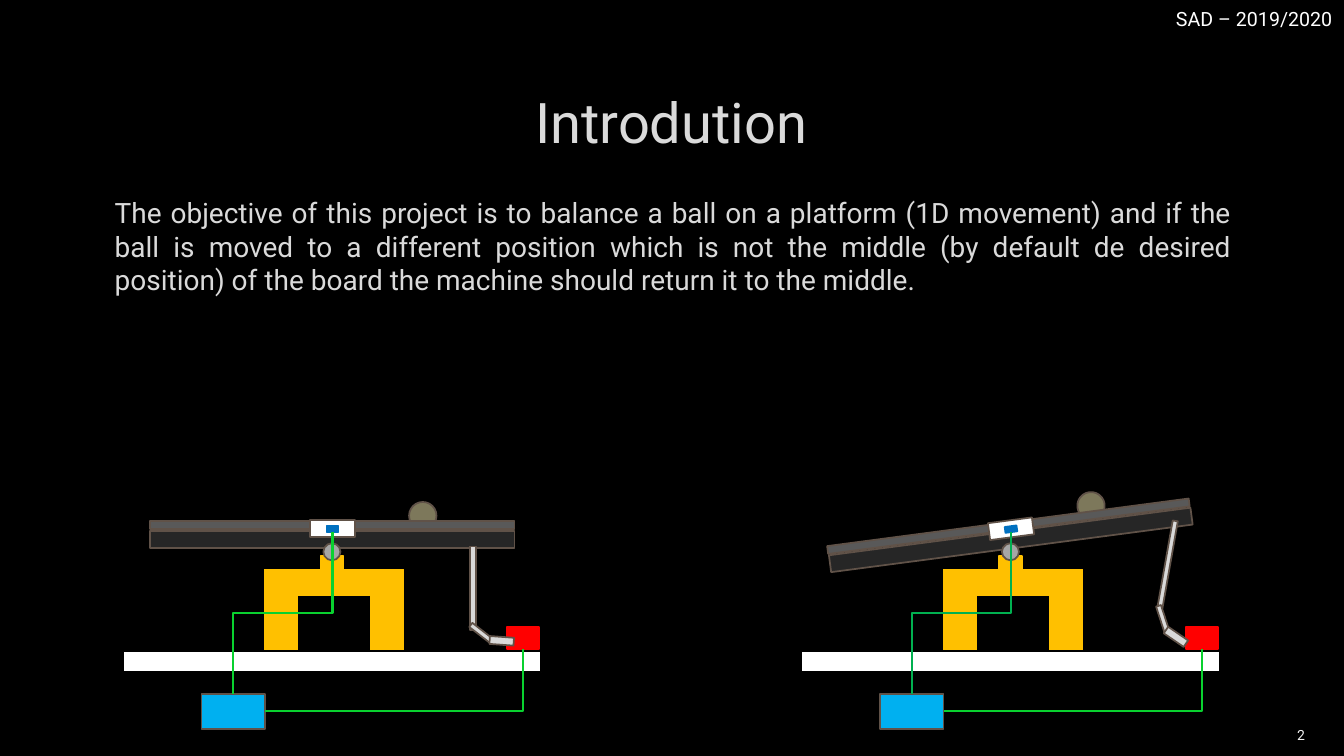
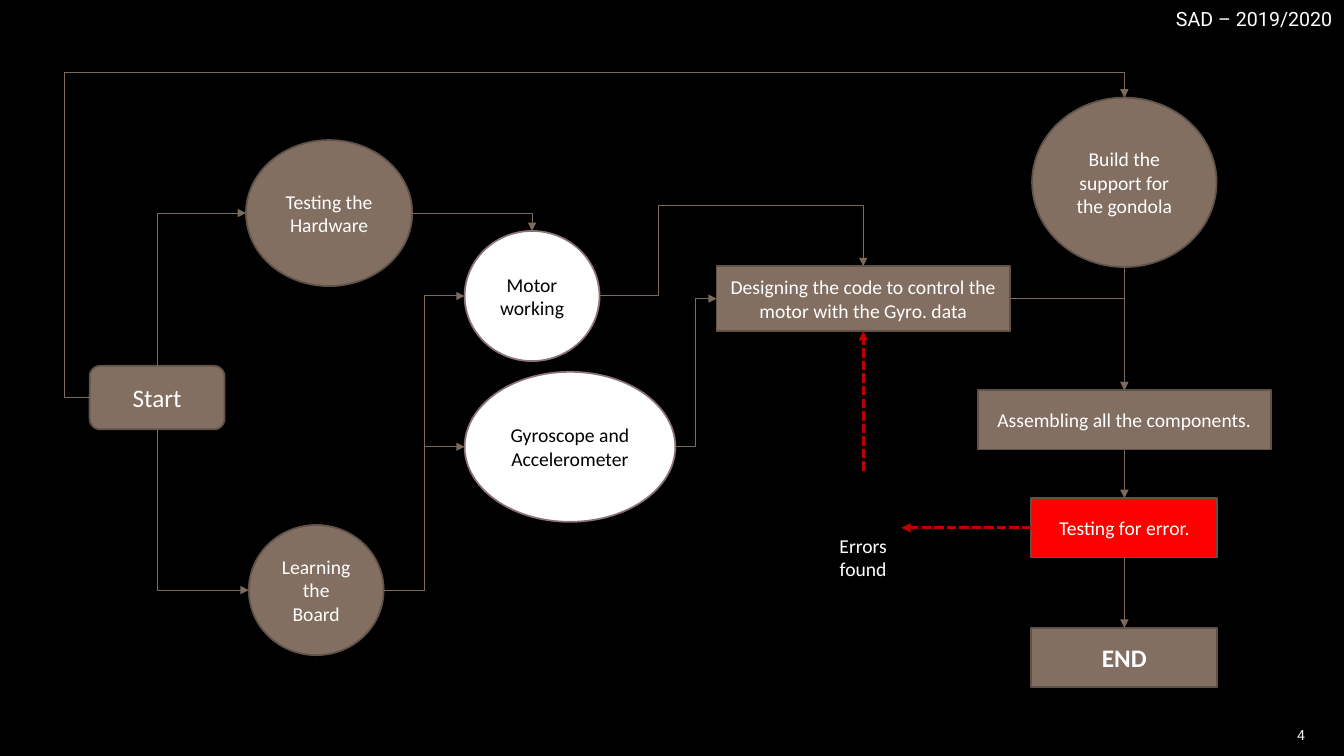
from lxml.etree import SubElement
from pptx import Presentation
from pptx.dml.color import RGBColor
from pptx.enum.dml import MSO_LINE
from pptx.enum.shapes import MSO_CONNECTOR, MSO_SHAPE
from pptx.enum.text import MSO_ANCHOR, PP_ALIGN
from pptx.oxml.ns import qn
from pptx.util import Cm, Pt

COLORS = {
    "black": "000000", "white": "FFFFFF", "title": "DADADA", "number": "F2F2F2",
    "brown": "826F61", "edge": "605248", "rose": "897376", "arrow": "7C6A5D",
    "red": "FF0000", "dark red": "C00000", "amber": "FFC000", "board": "262626",
    "rail": "595959", "pivot": "A6A6A6", "ball": "7D785B", "rod": "D9D9D9",
    "chip": "0070C0", "controller": "00B0F0", "wire": "09D12F", "dark wire": "00B050",
}
RECT, OVAL = MSO_SHAPE.RECTANGLE, MSO_SHAPE.OVAL
TOP, LEFT, BOTTOM, RIGHT = range(4)

HEADER = "SAD – 2019/2020"
TITLE = "Introdution"
OBJECTIVE = (
    "The objective of this project is to balance a ball on a platform (1D movement) "
    "and if the ball is moved to a different position which is not the middle (by "
    "default de desired position) of the board the machine should return it to the middle."
)

# Rig parts from back to front: name, shape, fill, line, box in cm (None: set by the pose)
RIG_PARTS = [
    ("board", RECT, "board", "edge", None),
    ("post", RECT, "amber", "amber", (8.08, 14.02, 0.58, 0.91)),
    ("beam", RECT, "amber", "amber", (6.68, 14.35, 3.48, 0.64)),
    ("left leg", RECT, "amber", "amber", (6.68, 14.35, 0.81, 2.06)),
    ("right leg", RECT, "amber", "amber", (9.35, 14.35, 0.81, 2.06)),
    ("table", RECT, "white", "black", (3.1, 16.41, 10.54, 0.53)),
    ("pivot", OVAL, "pivot", "edge", (8.15, 13.69, 0.43, 0.43)),
    ("ball", OVAL, "ball", "edge", None),
    ("rail", RECT, "rail", "edge", None),
    ("motor", RECT, "red", "red", (12.78, 15.8, 0.81, 0.56)),
    ("arm", RECT, "rod", "edge", None),
    ("joint", RECT, "rod", "edge", None),
    ("crank", RECT, "rod", "edge", None),
    ("sensor", RECT, "white", "edge", (7.82, 13.11, 1.12, 0.43)),
    ("chip", RECT, "chip", "chip", (8.23, 13.26, 0.3, 0.15)),
    ("controller", RECT, "controller", "edge", (5.08, 17.48, 1.6, 0.89)),
]
TILTED = ("board", "ball", "rail", "sensor", "chip")
LEVEL_RIG = {
    "offset": 0, "tilt": 0, "sensor wire": "wire",
    "boxes": {"board": (3.78, 13.39, 9.19, 0.43), "ball": (10.31, 12.65, 0.69, 0.69),
              "rail": (3.78, 13.13, 9.19, 0.2), "arm": (11.84, 13.77, 0.15, 2.11),
              "joint": (11.79, 15.9, 0.71, 0.13), "crank": (12.34, 16.05, 0.61, 0.2)},
    "angles": {"joint": 37.8, "crank": 4.1},
}
TILTED_RIG = {
    "offset": 17.1, "tilt": 352.5, "sensor wire": "dark wire",
    "boxes": {"board": (3.78, 13.39, 9.19, 0.43), "ball": (10.05, 12.4, 0.69, 0.69),
              "rail": (3.72, 13.16, 9.19, 0.2), "arm": (12.26, 13.11, 0.13, 2.24),
              "joint": (11.85, 15.54, 0.71, 0.13), "crank": (12.23, 15.95, 0.61, 0.2)},
    "angles": {"arm": 10, "joint": 72, "crank": 34.4},
}

# Flowchart steps: name, text, shape, fill, line, box in cm
STEPS = [
    ("support", "Build the support for the gondola", OVAL, "brown", "edge",
     (26.01, 2.46, 4.65, 4.27)),
    ("start", "Start", MSO_SHAPE.ROUNDED_RECTANGLE, "brown", "edge", (2.26, 9.22, 3.4, 1.6)),
    ("learning", "Learning the Board", OVAL, "brown", "edge", (6.27, 13.23, 3.4, 3.28)),
    ("gyroscope", "Gyroscope and Accelerometer", OVAL, "white", "rose",
     (11.71, 9.37, 5.31, 3.78)),
    ("motor", "Motor working", OVAL, "white", "rose", (11.71, 5.82, 3.4, 3.28)),
    ("code", "Designing the code to control the motor with the Gyro. data", RECT,
     "brown", "edge", (18.06, 6.71, 7.39, 1.63)),
    ("hardware", "Testing the Hardware", OVAL, "brown", "edge", (6.2, 3.53, 4.19, 3.68)),
    ("assembling", "Assembling all the components.", RECT, "brown", "edge",
     (24.64, 9.83, 7.39, 1.5)),
    ("testing", "Testing for error.", RECT, "red", "edge", (25.99, 12.55, 4.69, 1.5)),
    ("errors", "Errors found", MSO_SHAPE.ISOSCELES_TRIANGLE, "black", "black",
     (19.87, 11.86, 3.77, 2.9)),
    ("end", "END", RECT, "brown", "edge", (25.99, 15.82, 4.69, 1.5)),
]
LARGE_STEPS = ("start", "end")
# Bent arrows: from, side, to, side, outer corner in cm when the arrow goes around
BENT_ARROWS = [
    ("start", BOTTOM, "learning", LEFT, None),
    ("learning", RIGHT, "motor", LEFT, None),
    ("learning", RIGHT, "gyroscope", LEFT, None),
    ("gyroscope", RIGHT, "code", LEFT, None),
    ("motor", RIGHT, "code", TOP, (16.59, 5.18)),
    ("start", TOP, "hardware", LEFT, None),
    ("hardware", RIGHT, "motor", TOP, None),
    ("start", LEFT, "support", TOP, (1.63, 1.83)),
    ("code", RIGHT, "assembling", TOP, None),
]
DOWN_ARROWS = [("support", "assembling"), ("assembling", "testing"), ("testing", "end")]


def rgb(name):
    return RGBColor.from_string(COLORS[name])


def cm(box):
    return [Cm(v) for v in box]


def set_font(p, size, color, name="Roboto", bold=False):
    p.font.size, p.font.name, p.font.bold = Pt(size), name, bold
    p.font.color.rgb = rgb(color)


def add_text(slide, box, text, size, color, align, anchor=MSO_ANCHOR.TOP):
    tf = slide.shapes.add_textbox(*cm(box)).text_frame
    tf.word_wrap, tf.vertical_anchor = True, anchor
    p = tf.paragraphs[0]
    p.text, p.alignment = text, align
    set_font(p, size, color)


def add_box(slide, kind, box, fill, line, angle=0):
    sp = slide.shapes.add_shape(kind, *cm(box))
    sp.shadow.inherit = False
    sp.fill.solid()
    sp.fill.fore_color.rgb = rgb(fill)
    sp.line.color.rgb = rgb(line)
    sp.line.width = Pt(1.25)
    sp.rotation = angle
    return sp


def style_line(cxn, color, width, arrow=True, dash=None):
    cxn.line.color.rgb = rgb(color)
    cxn.line.width = Pt(width)
    if dash:
        cxn.line.dash_style = dash
    spPr = cxn.element.spPr
    if arrow:
        SubElement(spPr.find(qn("a:ln")), qn("a:tailEnd"), type="triangle")
    SubElement(spPr, qn("a:effectLst"))


def join(slide, a, side_a, b, side_b, kind=MSO_CONNECTOR.STRAIGHT):
    """Connect the middles of two sides; an oval has two sites per side."""
    cxn = slide.shapes.add_connector(kind, 0, 0, 0, 0)
    cxn.begin_connect(a, side_a)
    cxn.end_connect(b, side_b)
    for sp, side, tag in ((a, side_a, "a:stCxn"), (b, side_b, "a:endCxn")):
        if sp.auto_shape_type == OVAL:
            next(cxn.element.iter(qn(tag))).set("idx", str(2 * side))
    return cxn


def join_bent(slide, a, side_a, b, side_b, corner=None):
    """Connect two sides at right angles, around the given outer corner if any."""
    cxn = join(slide, a, side_a, b, side_b, MSO_CONNECTOR.ELBOW)
    x1, y1, x2, y2 = cxn.begin_x, cxn.begin_y, cxn.end_x, cxn.end_y
    dx, dy = x2 - x1, y2 - y1
    upright = side_a in (TOP, BOTTOM)
    xfrm = cxn.element.spPr.find(qn("a:xfrm"))
    if upright:  # a quarter turn swaps the axes
        width, height = abs(dy), abs(dx)
        flip_h, flip_v = dy < 0, dx > 0
        xfrm.set("rot", "5400000")
    else:
        width, height = abs(dx), abs(dy)
        flip_h, flip_v = dx < 0, dy < 0
    cxn.left, cxn.top = (x1 + x2 - width) // 2, (y1 + y2 - height) // 2
    cxn.width, cxn.height = width, height
    xfrm.set("flipH", str(int(flip_h)))
    xfrm.set("flipV", str(int(flip_v)))

    geom = cxn.element.spPr.find(qn("a:prstGeom"))
    if corner:
        geom.set("prst", "bentConnector4")
        shares = (Cm(corner[0]) - x1) / dx, (Cm(corner[1]) - y1) / dy
        for i, share in enumerate(shares, 1):
            SubElement(geom.find(qn("a:avLst")), qn("a:gd"),
                       name=f"adj{i}", fmla=f"val {round(share * 100000)}")
    elif upright != (side_b in (TOP, BOTTOM)):
        geom.set("prst", "bentConnector2")
    return cxn


def add_frame(slide, number):
    """Header and slide number shared by the slides."""
    add_text(slide, (27.23, 0.05, 6.6, 0.86), HEADER, 14, "white", PP_ALIGN.RIGHT)
    add_text(slide, (31.75, 18.01, 2.08, 1.02), number, 10, "number",
             PP_ALIGN.CENTER, MSO_ANCHOR.MIDDLE)


def add_rig(slide, pose):
    parts = {}
    for name, kind, fill, line, box in RIG_PARTS:
        x, y, w, h = box or pose["boxes"][name]
        angle = pose["tilt"] if name in TILTED else pose["angles"].get(name, 0)
        parts[name] = add_box(slide, kind, (x + pose["offset"], y, w, h), fill, line, angle)
    controller = parts["controller"]
    for part, side, color in (("chip", TOP, pose["sensor wire"]), ("motor", RIGHT, "wire")):
        wire = join_bent(slide, parts[part], BOTTOM, controller, side)
        style_line(wire, color, 1.5, arrow=False)


def add_introduction(prs):
    slide = prs.slides.add_slide(prs.slide_layouts[5])
    title = slide.shapes.title
    title.left, title.top, title.width, title.height = cm((2.54, 1.7, 28.75, 2.69))
    title.text_frame.vertical_anchor = MSO_ANCHOR.MIDDLE
    p = title.text_frame.paragraphs[0]
    p.text, p.alignment = TITLE, PP_ALIGN.CENTER
    set_font(p, 40, "title")
    add_text(slide, (2.64, 4.8, 28.65, 5.08), OBJECTIVE, 20, "title", PP_ALIGN.JUSTIFY)
    for pose in (LEVEL_RIG, TILTED_RIG):
        add_rig(slide, pose)
    add_frame(slide, "2")


def add_flowchart(prs):
    slide = prs.slides.add_slide(prs.slide_layouts[6])
    steps = {}
    for name, text, kind, fill, line, box in STEPS:
        sp = steps[name] = add_box(slide, kind, box, fill, line)
        tf = sp.text_frame
        tf.word_wrap, tf.vertical_anchor = True, MSO_ANCHOR.MIDDLE
        p = tf.paragraphs[0]
        p.text, p.alignment = text, PP_ALIGN.CENTER
        set_font(p, 18 if name in LARGE_STEPS else 14,
                 "black" if fill == "white" else "white", "Calibri", name == "end")

    for a, side_a, b, side_b, corner in BENT_ARROWS:
        style_line(join_bent(slide, steps[a], side_a, steps[b], side_b, corner), "arrow", 0.75)
    for a, b in DOWN_ARROWS:
        style_line(join(slide, steps[a], BOTTOM, steps[b], TOP), "arrow", 0.75)

    testing, errors = steps["testing"], steps["errors"]
    y = testing.top + testing.height // 2
    found = slide.shapes.add_connector(MSO_CONNECTOR.STRAIGHT, testing.left, y, Cm(22.71), y)
    found.begin_connect(testing, LEFT)
    for cxn in (found, join(slide, errors, TOP, steps["code"], BOTTOM)):
        style_line(cxn, "dark red", 2.25, dash=MSO_LINE.SQUARE_DOT)
    add_frame(slide, "4")


def main():
    prs = Presentation()
    prs.slide_width, prs.slide_height = Cm(33.87), Cm(19.05)
    background = prs.slide_master.background.fill
    background.solid()
    background.fore_color.rgb = rgb("black")
    add_introduction(prs)
    add_flowchart(prs)
    prs.save("out.pptx")


if __name__ == "__main__":
    main()
